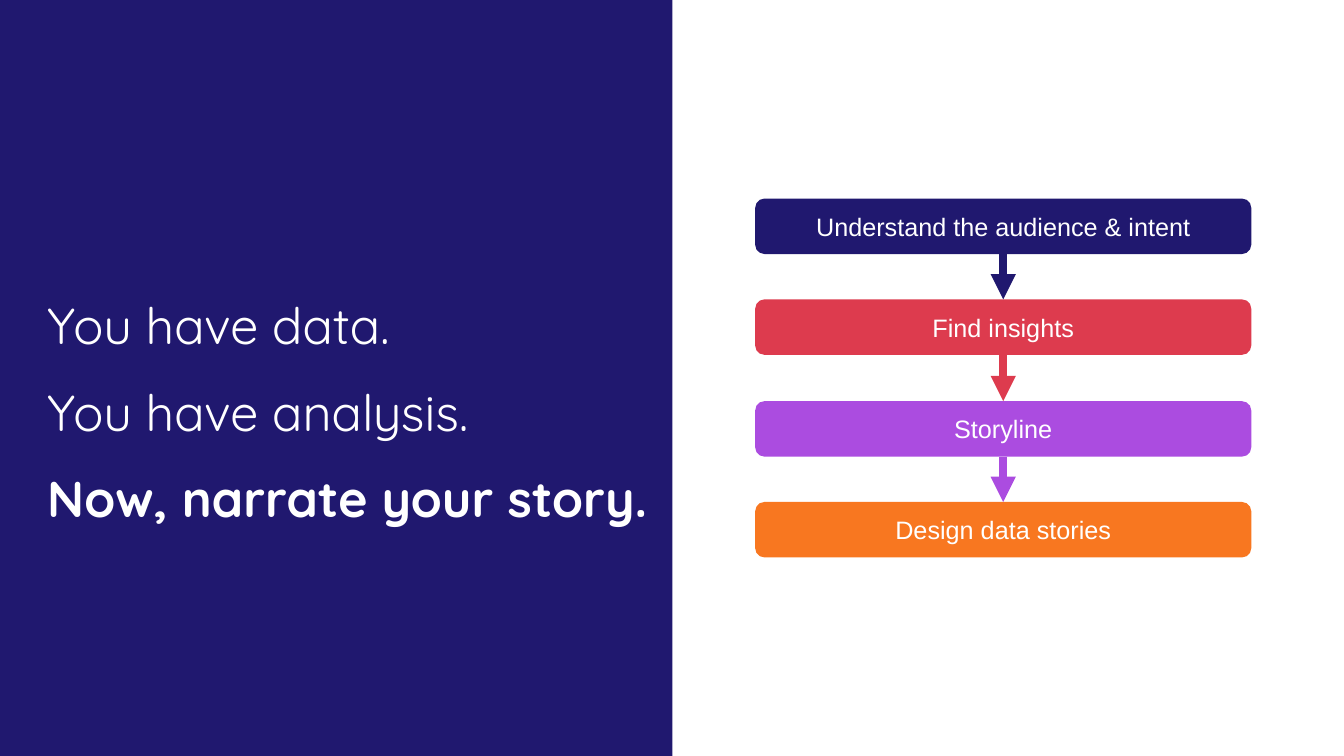
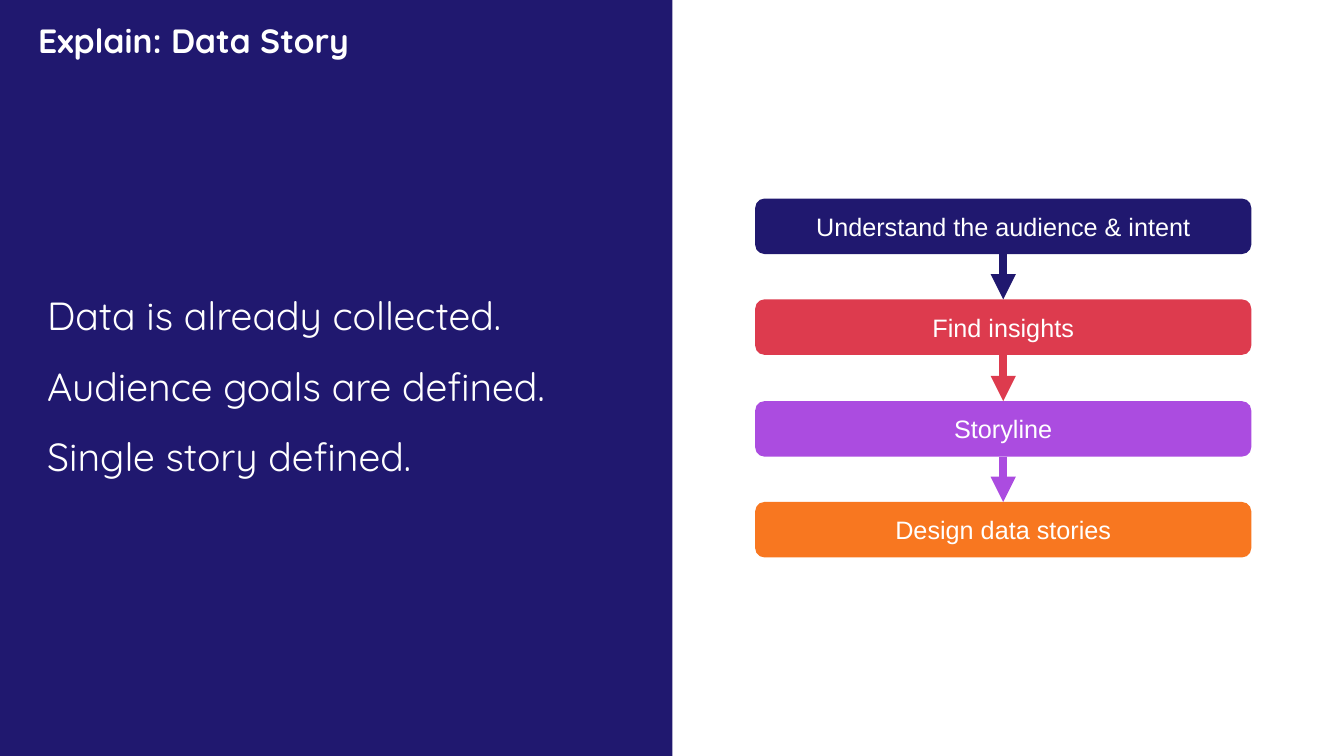
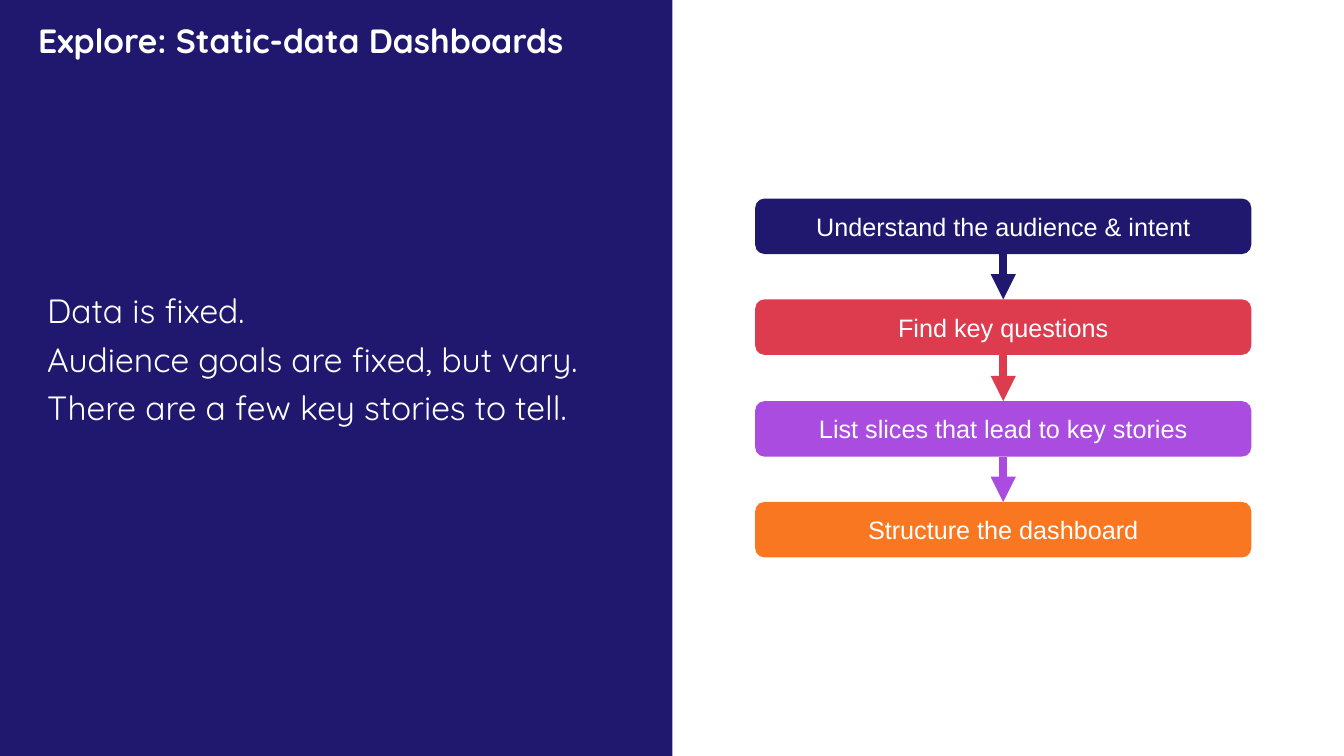
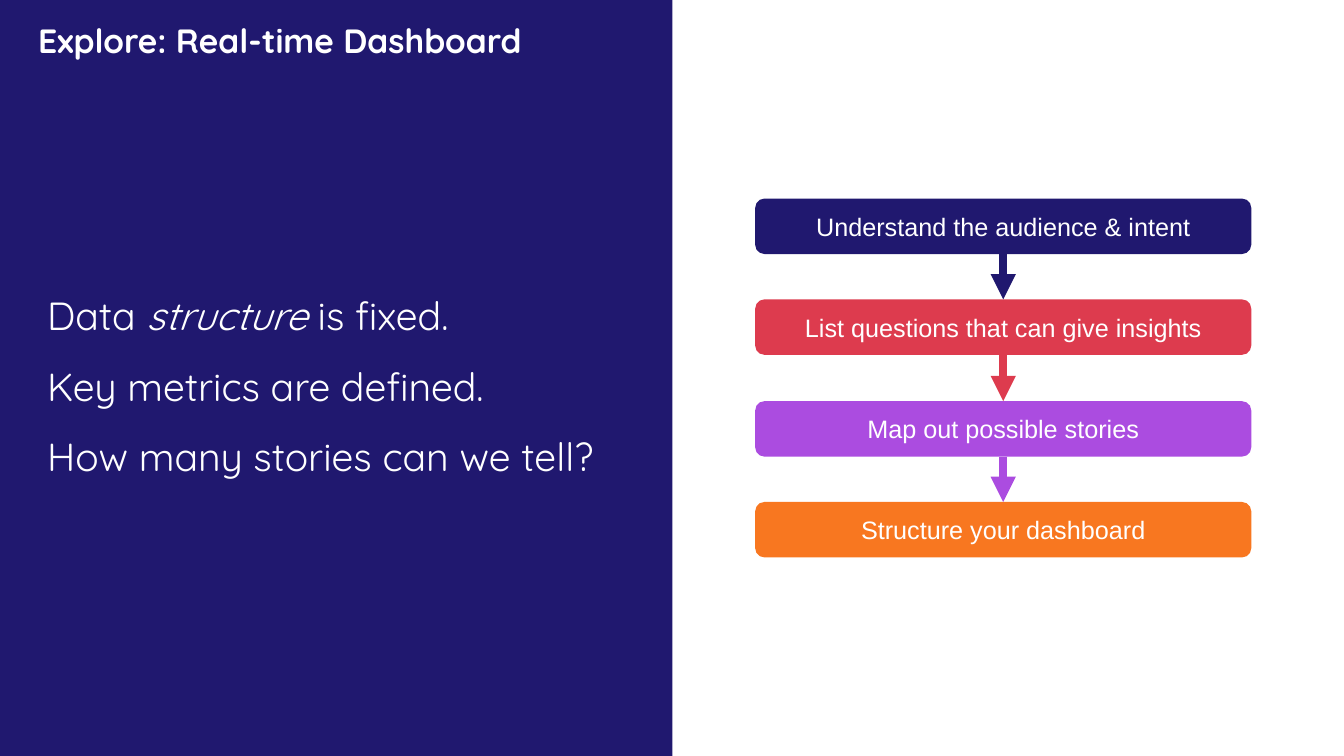
"""Builds four slides that pair a data situation with its storytelling steps."""
from dataclasses import dataclass
from itertools import pairwise

from lxml import etree
from pptx import Presentation
from pptx.dml.color import RGBColor
from pptx.enum.shapes import MSO_CONNECTOR, MSO_SHAPE
from pptx.enum.text import MSO_ANCHOR, PP_ALIGN
from pptx.oxml.ns import qn
from pptx.util import Pt

EMU_PER_PX = 9144
SLIDE_SIZE = (1333, 750)
BLANK_LAYOUT = 6
RECTANGLE, ROUNDED = MSO_SHAPE.RECTANGLE, MSO_SHAPE.ROUNDED_RECTANGLE
STRAIGHT = MSO_CONNECTOR.STRAIGHT
TOP, MIDDLE = MSO_ANCHOR.TOP, MSO_ANCHOR.MIDDLE
LEFT, CENTER = PP_ALIGN.LEFT, PP_ALIGN.CENTER
TOP_SITE, BOTTOM_SITE = 0, 2

PANEL = (0, 0, 667, 750)
TITLE = (28, 11, 580, 63)
MESSAGE = (37, 275, 617, 270)
STEP_LEFT, STEP_WIDTH, STEP_HEIGHT = 749, 492, 55
FIRST_STEP_TOP, LAST_STEP_TOP = 197, 498


@dataclass(frozen=True)
class Theme:
    """Colours, fonts and type sizes."""
    navy: str = "20186F"
    red: str = "DD3B4E"
    purple: str = "AB4CE0"
    orange: str = "F87720"
    white: str = "FFFFFF"
    display_font: str = "Quicksand"
    step_font: str = "Arial"
    title_size: int = 24
    step_size: int = 18
    arrow_width: int = 6
    space_before: int = 10

    @property
    def step_colors(self):
        """Fill of each step from first to last."""
        return self.navy, self.red, self.purple, self.orange


def px(*lengths):
    """Turns px into EMU."""
    return [length * EMU_PER_PX for length in lengths]


def set_formats(target, formats):
    """Sets each named attribute of the target."""
    for name, value in formats.items():
        setattr(target, name, value)


class Deck:
    """Holds the theme and the current slide, and draws each kind of element."""

    def __init__(self, theme):
        """Starts an empty presentation."""
        self.theme = theme
        self.presentation = Presentation()
        width, height = px(*SLIDE_SIZE)
        set_formats(self.presentation, {"slide_width": width, "slide_height": height})
        self.slide = None

    def start_slide(self):
        """Adds a white slide with the navy panel on its left half."""
        layout = self.presentation.slide_layouts[BLANK_LAYOUT]
        self.slide = self.presentation.slides.add_slide(layout)
        background = self.slide.background.fill
        background.solid()
        background.fore_color.rgb = RGBColor.from_string(self.theme.white)
        self.block(RECTANGLE, PANEL, self.theme.navy)

    def block(self, preset, bounds, color):
        """Adds a plain filled shape."""
        shape = self.slide.shapes.add_shape(preset, *px(*bounds))
        shape.shadow.inherit = False
        shape.fill.solid()
        shape.fill.fore_color.rgb = RGBColor.from_string(color)
        shape.line.fill.background()
        return shape

    def set_text(self, frame, paragraphs, font, spacing, anchor):
        """Fills a frame with paragraphs made of (text, formats) runs."""
        set_formats(frame, {"word_wrap": True, "vertical_anchor": anchor})
        for index, runs in enumerate(paragraphs):
            paragraph = frame.add_paragraph() if index else frame.paragraphs[0]
            set_formats(paragraph, spacing)
            if index:
                paragraph.space_before = Pt(self.theme.space_before)
            for text, emphasis in runs:
                for row, words in enumerate(text.split("\n")):
                    if row:
                        paragraph.add_line_break()
                    run = paragraph.add_run()
                    run.text = words
                    set_formats(run.font, font | emphasis)
                    run.font.color.rgb = RGBColor.from_string(self.theme.white)

    def title(self, text):
        """Adds the bold title at the top of the panel."""
        frame = self.slide.shapes.add_textbox(*px(*TITLE)).text_frame
        font = {"name": self.theme.display_font, "size": Pt(self.theme.title_size), "bold": True}
        self.set_text(frame, [[(text, {})]], font, {"alignment": LEFT, "line_spacing": 0.9}, MIDDLE)

    def message(self, paragraphs, size):
        """Adds the large statements on the panel."""
        frame = self.slide.shapes.add_textbox(*px(*MESSAGE)).text_frame
        font = {"name": self.theme.display_font, "size": Pt(size)}
        self.set_text(frame, paragraphs, font, {"alignment": LEFT, "line_spacing": 1.2}, TOP)

    def step(self, label, top, color):
        """Adds one rounded step of the flow."""
        shape = self.block(ROUNDED, (STEP_LEFT, top, STEP_WIDTH, STEP_HEIGHT), color)
        font = {"name": self.theme.step_font, "size": Pt(self.theme.step_size)}
        self.set_text(shape.text_frame, [[(label, {})]], font, {"alignment": CENTER}, MIDDLE)
        return shape

    def arrow(self, upper, lower, color):
        """Joins two steps with an arrow."""
        arrow = self.slide.shapes.add_connector(STRAIGHT, 0, 0, 0, 0)
        arrow.begin_connect(upper, BOTTOM_SITE)
        arrow.end_connect(lower, TOP_SITE)
        arrow.line.color.rgb = RGBColor.from_string(color)
        arrow.line.width = Pt(self.theme.arrow_width)
        properties = arrow.element.spPr
        etree.SubElement(properties.find(qn("a:ln")), qn("a:tailEnd"), type="triangle")
        etree.SubElement(properties, qn("a:effectLst"))

    def flow(self, labels):
        """Spreads the steps evenly downwards and joins them."""
        colors = self.theme.step_colors
        pitch = (LAST_STEP_TOP - FIRST_STEP_TOP) / (len(labels) - 1)
        steps = [
            self.step(label, FIRST_STEP_TOP + round(index * pitch), color)
            for index, (label, color) in enumerate(zip(labels, colors))
        ]
        for (upper, lower), color in zip(pairwise(steps), colors):
            self.arrow(upper, lower, color)


FIRST_STEP = "Understand the audience & intent"
STORY_STEPS = [FIRST_STEP, "Find insights", "Storyline", "Design data stories"]

SLIDES = [
    {
        "title": None,
        "size": 36,
        "message": [
            [("You have data.", {})],
            [("You have analysis.", {})],
            [("Now, narrate your story.", {"bold": True})],
        ],
        "steps": STORY_STEPS,
    },
    {
        "title": "Explain: Data Story",
        "size": 28,
        "message": [
            [("Data is already collected.", {})],
            [("Audience goals are defined.", {})],
            [("Single story defined.", {})],
        ],
        "steps": STORY_STEPS,
    },
    {
        "title": "Explore: Static-data Dashboards",
        "size": 24,
        "message": [
            [("Data is fixed.\nAudience goals are fixed, but vary.\n"
              "There are a few key stories to tell.", {})],
        ],
        "steps": [FIRST_STEP, "Find key questions", "List slices that lead to key stories",
                  "Structure the dashboard"],
    },
    {
        "title": "Explore: Real-time Dashboard",
        "size": 28,
        "message": [
            [("Data ", {}), ("structure", {"italic": True}), (" is fixed.", {})],
            [("Key metrics are defined.", {})],
            [("How many stories can we tell?", {})],
        ],
        "steps": [FIRST_STEP, "List questions that can give insights",
                  "Map out possible stories", "Structure your dashboard"],
    },
]


def main():
    """Draws every slide and saves the deck."""
    deck = Deck(Theme())
    for content in SLIDES:
        deck.start_slide()
        deck.message(content["message"], content["size"])
        if content["title"]:
            deck.title(content["title"])
        deck.flow(content["steps"])
    deck.presentation.save("out.pptx")


if __name__ == "__main__":
    main()
